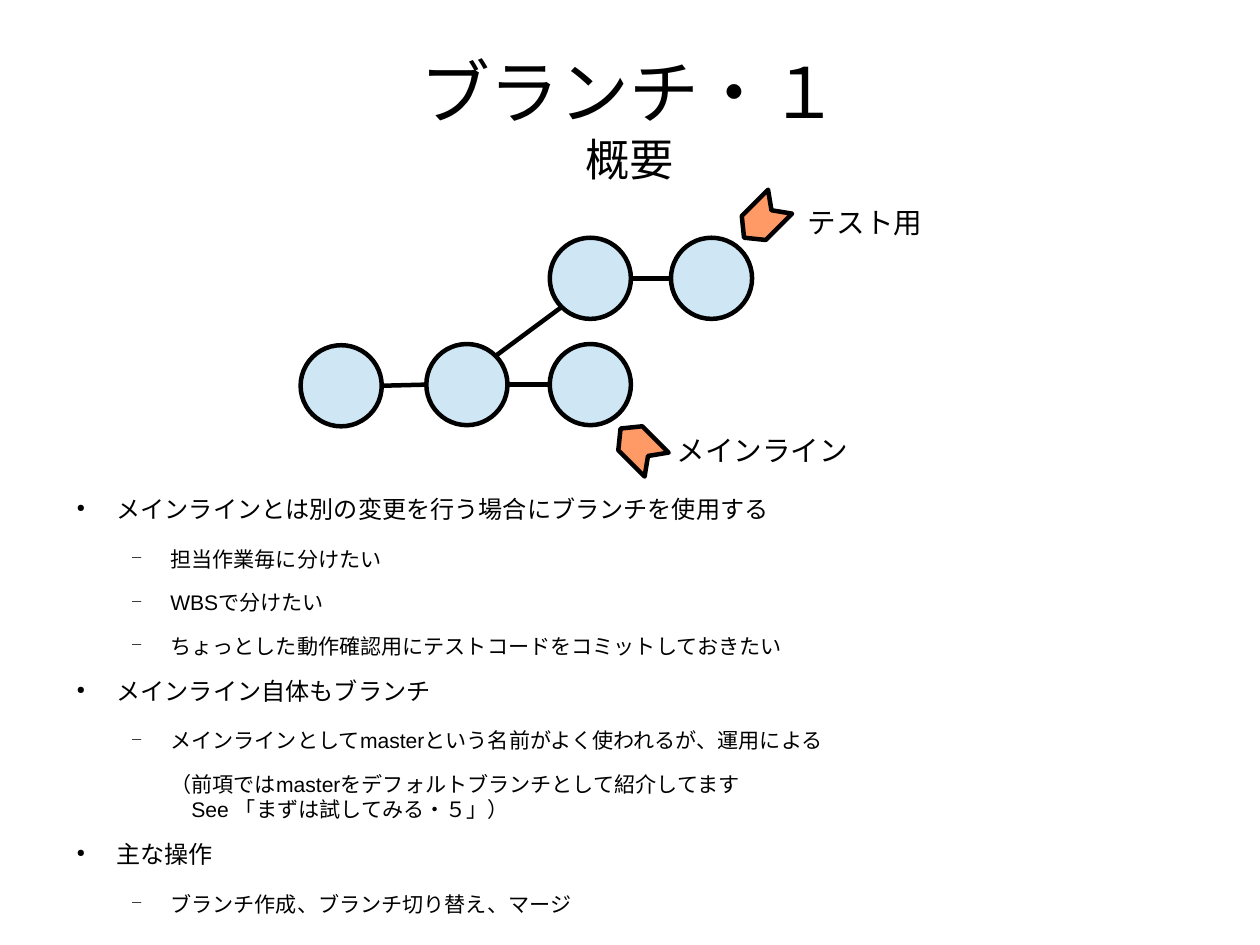
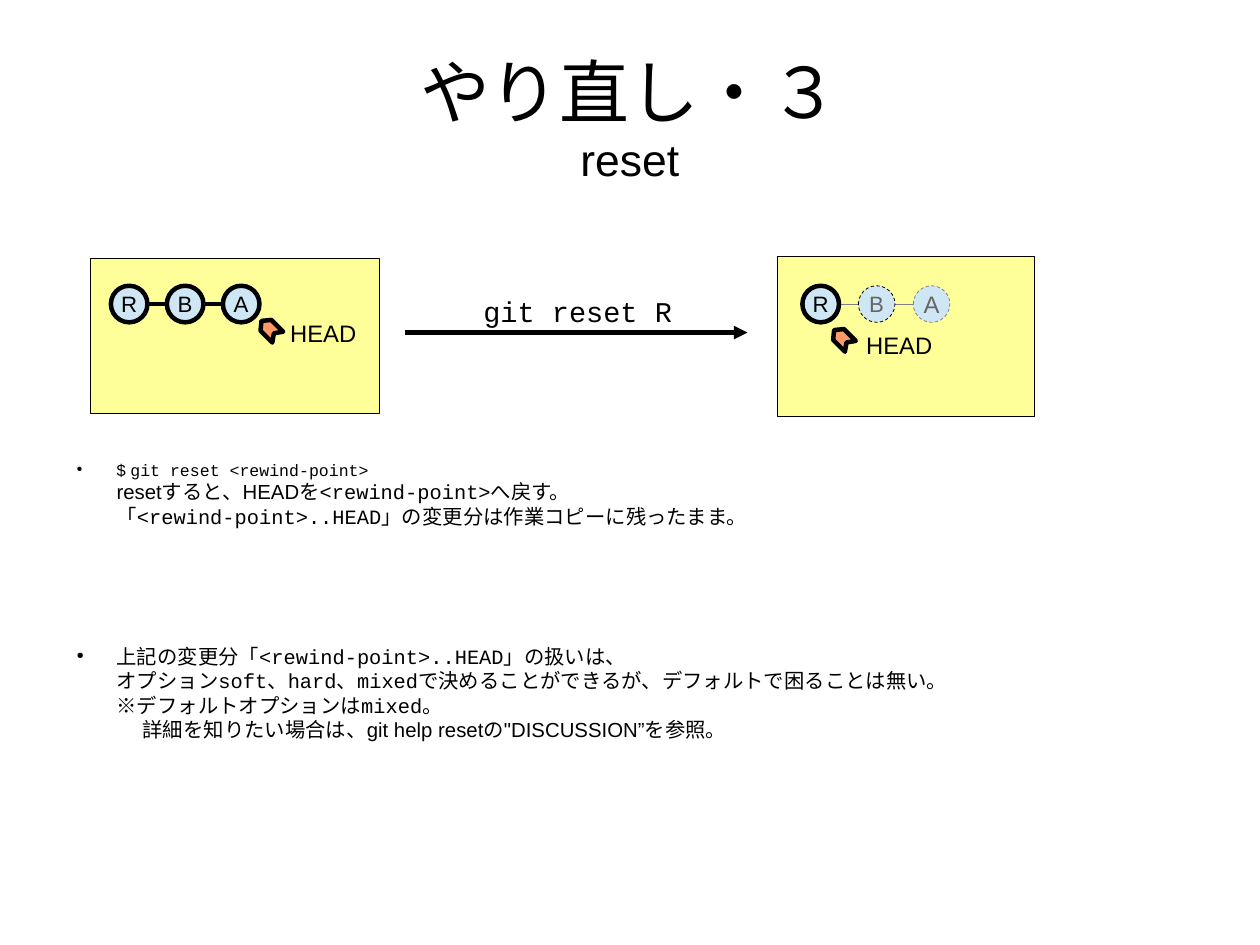
from dataclasses import dataclass, field
from math import hypot

from pptx import Presentation
from pptx.dml.color import RGBColor
from pptx.enum.dml import MSO_LINE
from pptx.enum.shapes import MSO_CONNECTOR, MSO_SHAPE
from pptx.enum.text import MSO_ANCHOR, MSO_AUTO_SIZE, PP_ALIGN
from pptx.oxml.ns import qn
from pptx.oxml.xmlchemy import OxmlElement
from pptx.util import Inches, Pt


@dataclass(frozen=True)
class Theme:
    ink: RGBColor = RGBColor(0, 0, 0)
    faded_line: RGBColor = RGBColor(0x80, 0x80, 0x80)
    faded_text: RGBColor = RGBColor(0x66, 0x66, 0x66)
    commit: RGBColor = RGBColor(0xCF, 0xE7, 0xF5)
    pointer: RGBColor = RGBColor(0xFF, 0x99, 0x66)
    panel: RGBColor = RGBColor(0xFF, 0xFF, 0x99)
    font: str = "Arial"
    code_font: str = "Courier New"
    title: float = 44
    subtitle: float = 28
    label: float = 18
    small_label: float = 15
    letter: float = 14
    topic: float = 15.2
    detail: float = 13.3
    note: float = 12.8
    command: float = 10.4
    topic_gap: float = 14.2
    detail_gap: float = 11.3
    section_gap: float = 73
    heavy: float = 2.83
    hairline: float = 0.5


theme = Theme()


@dataclass
class Commit:
    left: float
    top: float
    letter: str = ""
    line: RGBColor = theme.ink
    undone: bool = False
    size: float = theme.letter


@dataclass
class Content:
    title: str
    subtitle: str
    diameter: float
    commits: list
    links: list
    pointers: list
    labels: list
    body_box: tuple
    body: list
    panels: list = field(default_factory=list)
    arrows: list = field(default_factory=list)


BULLETS = {0: ("●", 45), 1: ("−", 75)}
POINTER_OUTLINE = [(0.05, 0.26), (-0.18, 0.03), (-0.16, -0.16),
                   (0.03, -0.18), (0.26, 0.05), (0.08, 0.08)]

branch = Content(
    title="ブランチ・１",
    subtitle="概要",
    diameter=0.71,
    commits=[Commit(2.63, 3.02), Commit(3.73, 3.01), Commit(4.81, 3.01),
             Commit(4.81, 2.08), Commit(5.87, 2.08)],
    links=[(0, 1), (1, 2), (1, 3), (3, 4)],
    pointers=[(6.67, 1.92, 1, -1), (5.59, 3.91, 1, 1)],
    labels=[("メインライン", theme.label, theme.font, (5.82, 3.74, 1.7, 0.46)),
            ("テスト用", theme.label, theme.font, (6.97, 1.74, 1.2, 0.46))],
    body_box=(0.55, 4.33, 9.7, 3.54),
    body=[
        (0, True, theme.topic, theme.topic_gap, "メインラインとは別の変更を行う場合にブランチを使用する"),
        (1, True, theme.detail, theme.detail_gap, "担当作業毎に分けたい"),
        (1, True, theme.detail, theme.detail_gap, "WBSで分けたい"),
        (1, True, theme.detail, theme.detail_gap, "ちょっとした動作確認用にテストコードをコミットしておきたい"),
        (0, True, theme.topic, theme.topic_gap, "メインライン自体もブランチ"),
        (1, True, theme.detail, theme.detail_gap, "メインラインとしてmasterという名前がよく使われるが、運用による"),
        (1, False, theme.detail, theme.detail_gap,
         "（前項ではmasterをデフォルトブランチとして紹介してます\n　See 「まずは試してみる・５」）"),
        (0, True, theme.topic, theme.topic_gap, "主な操作"),
        (1, True, theme.detail, theme.detail_gap, "ブランチ作成、ブランチ切り替え、マージ"),
    ],
)

reset = Content(
    title="やり直し・３",
    subtitle="reset",
    diameter=0.32,
    commits=[Commit(0.97, 2.5, "R"), Commit(1.46, 2.5, "B"), Commit(1.95, 2.5, "A"),
             Commit(7.02, 2.5, "R"), Commit(7.51, 2.5, "B", undone=True),
             Commit(7.99, 2.5, "A", theme.faded_line, True, theme.small_label)],
    links=[(0, 1), (1, 2), (3, 4), (4, 5)],
    pointers=[(2.36, 2.88, 0.45, 1), (7.37, 2.96, 0.45, 1)],
    labels=[("HEAD", theme.small_label, theme.font, (2.44, 2.74, 0.83, 0.33)),
            ("HEAD", theme.small_label, theme.font, (7.48, 2.84, 0.78, 0.33)),
            ("git reset R", theme.label, theme.code_font, (4.13, 2.52, 1.85, 0.38))],
    body_box=(0.55, 4.02, 9.7, 2.52),
    body=[
        (0, True, theme.note, theme.section_gap,
         "$ `git reset <rewind-point>`\n"
         "resetすると、HEADを`<rewind-point>`へ戻す。\n"
         "「`<rewind-point>..HEAD`」の変更分は作業コピーに残ったまま。"),
        (0, True, theme.note, theme.topic_gap,
         "上記の変更分「`<rewind-point>..HEAD`」の扱いは、\n"
         "オプション`soft`、`hard`、`mixed`で決めることができるが、デフォルトで困ることは無い。\n"
         "※デフォルトオプションは`mixed`。\n"
         "　 詳細を知りたい場合は、git help resetの\"DISCUSSION”を参照。"),
    ],
    panels=[(0.79, 2.26, 2.53, 1.36), (6.8, 2.24, 2.25, 1.4)],
    arrows=[(3.54, 2.91, 6.54, 2.91)],
)


def paint(shape, fill, line, width):
    shape.shadow.inherit = False
    shape.fill.solid()
    shape.fill.fore_color.rgb = fill
    shape.line.color.rgb = line
    shape.line.width = Pt(width)


def set_font(font, size, name=theme.font, color=theme.ink):
    font.size = Pt(size)
    font.name = name
    font.color.rgb = color
    east_asian = OxmlElement("a:ea")
    east_asian.set("typeface", theme.font)
    font._element.append(east_asian)


presentation = Presentation()
presentation.slide_width = Inches(28 / 2.54)
presentation.slide_height = Inches(21 / 2.54)

for content in (branch, reset):
    slide = presentation.slides.add_slide(presentation.slide_layouts[5])
    shapes = slide.shapes

    title = shapes.title
    title.left, title.top, title.width, title.height = map(Inches, (0.55, 0.3, 9.92, 1.45))
    frame = title.text_frame
    frame.auto_size = MSO_AUTO_SIZE.NONE
    frame.vertical_anchor = MSO_ANCHOR.MIDDLE
    frame.margin_left = frame.margin_right = frame.margin_top = frame.margin_bottom = 0
    paragraph = frame.paragraphs[0]
    paragraph.alignment = PP_ALIGN.CENTER
    set_font(paragraph.font, theme.title)
    paragraph.add_run().text = content.title
    paragraph.add_line_break()
    subtitle = paragraph.add_run()
    subtitle.text = content.subtitle
    subtitle.font.size = Pt(theme.subtitle)

    for box in content.panels:
        panel = shapes.add_shape(MSO_SHAPE.RECTANGLE, *map(Inches, box))
        paint(panel, theme.panel, theme.ink, theme.hairline)

    radius = content.diameter / 2
    lines = [(ends, theme.ink, theme.heavy, True) for ends in content.arrows]
    for first, second in content.links:
        start, end = content.commits[first], content.commits[second]
        slope = round(end.top - start.top)
        across = radius / hypot(1, slope)
        down = across * slope
        ends = (start.left + radius + across, start.top + radius + down,
                end.left + radius - across, end.top + radius - down)
        color = theme.faded_line if end.undone else theme.ink
        width = theme.hairline if end.undone else theme.heavy
        lines.append((ends, color, width, False))

    for ends, color, width, has_head in lines:
        connector = shapes.add_connector(MSO_CONNECTOR.STRAIGHT, *map(Inches, ends))
        connector.line.color.rgb = color
        connector.line.width = Pt(width)
        properties = connector._element.spPr
        if has_head:
            head = OxmlElement("a:tailEnd")
            head.set("type", "triangle")
            properties.find(qn("a:ln")).append(head)
        properties.append(OxmlElement("a:effectLst"))

    for commit in content.commits:
        circle = shapes.add_shape(MSO_SHAPE.OVAL, Inches(commit.left), Inches(commit.top),
                                  Inches(content.diameter), Inches(content.diameter))
        paint(circle, theme.commit, commit.line, theme.hairline if commit.undone else theme.heavy)
        if commit.undone:
            circle.line.dash_style = MSO_LINE.DASH
        if commit.letter:
            frame = circle.text_frame
            frame.word_wrap = False
            frame.vertical_anchor = MSO_ANCHOR.MIDDLE
            frame.margin_left = frame.margin_right = frame.margin_top = frame.margin_bottom = 0
            paragraph = frame.paragraphs[0]
            paragraph.alignment = PP_ALIGN.CENTER
            paragraph.add_run().text = commit.letter
            set_font(paragraph.font, commit.size,
                     color=theme.faded_text if commit.undone else theme.ink)

    for center_x, center_y, scale, flip in content.pointers:
        points = [(Inches(center_x + x * scale), Inches(center_y + y * scale * flip))
                  for x, y in POINTER_OUTLINE]
        builder = shapes.build_freeform(*points[0])
        builder.add_line_segments(points[1:], close=True)
        paint(builder.convert_to_shape(), theme.pointer, theme.ink, theme.heavy)

    for text, size, font_name, box in content.labels:
        label = shapes.add_textbox(*map(Inches, box))
        label.text_frame.word_wrap = False
        paragraph = label.text_frame.paragraphs[0]
        paragraph.add_run().text = text
        set_font(paragraph.font, size, font_name)

    frame = shapes.add_textbox(*map(Inches, content.body_box)).text_frame
    frame.word_wrap = True
    frame.margin_left = frame.margin_right = frame.margin_top = frame.margin_bottom = 0
    for index, (level, bulleted, size, gap, text) in enumerate(content.body):
        paragraph = frame.add_paragraph() if index else frame.paragraphs[0]
        paragraph.level = level
        paragraph.space_after = Pt(gap)
        properties = paragraph._p.get_or_add_pPr()
        properties.set("marL", str(Inches(0.47 * (level + 1))))
        properties.set("indent", str(Inches(-0.35 if bulleted else 0)))
        if bulleted:
            character, percent = BULLETS[level]
            bullet_color = OxmlElement("a:buClr")
            color_value = OxmlElement("a:srgbClr")
            color_value.set("val", str(theme.ink))
            bullet_color.append(color_value)
            bullet_size = OxmlElement("a:buSzPct")
            bullet_size.set("val", str(percent * 1000))
            bullet = OxmlElement("a:buChar")
            bullet.set("char", character)
            for element in (bullet_color, bullet_size, bullet):
                properties.append(element)
        set_font(paragraph.font, size)
        for line_number, line in enumerate(text.split("\n")):
            if line_number:
                paragraph.add_line_break()
            for part_number, part in enumerate(line.split("`")):
                if not part:
                    continue
                run = paragraph.add_run()
                run.text = part
                if part_number % 2:
                    run.font.name = theme.code_font
                if line.startswith("$ "):
                    run.font.size = Pt(theme.command)

presentation.save("out.pptx")
